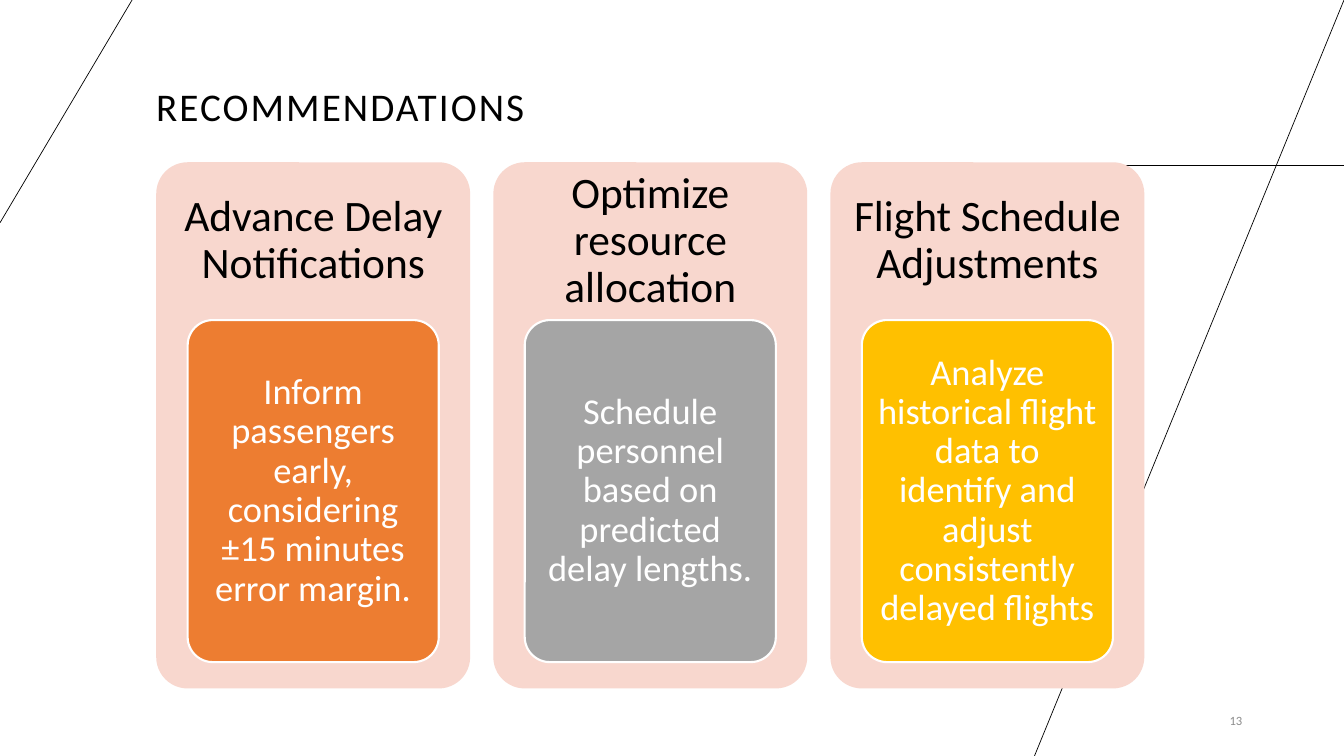
from lxml import etree
from pptx import Presentation
from pptx import util as u
from pptx.dml.color import RGBColor
from pptx.enum import shapes, text
from pptx.oxml.ns import qn

WIDTH, HEIGHT = 13.33, 7.5
FONT = "Calibri"
COLORS = {
    "ink": "000000", "white": "FFFFFF", "number": "8C8C8C", "panel": "F8D7CE",
    "orange": "ED7D31", "gray": "A5A5A5", "gold": "FFC000",
}
CENTER, RIGHT = text.PP_ALIGN.CENTER, text.PP_ALIGN.RIGHT
MIDDLE, BOTTOM = text.MSO_ANCHOR.MIDDLE, text.MSO_ANCHOR.BOTTOM

CARDS = [
    ("Advance Delay Notifications", "orange",
     "Inform passengers early, considering ±15 minutes error margin."),
    ("Optimize resource allocation", "gray",
     "Schedule personnel based on predicted delay lengths."),
    ("Flight Schedule Adjustments", "gold",
     "Analyze historical flight data to identify and adjust "
     "consistently delayed flights"),
]


def rgb(name):
    return RGBColor.from_string(COLORS[name])


def inches(box):
    return [u.Inches(value) for value in box]


def write(shape, words, size, color, anchor=MIDDLE, insets=(0.1, 0.05), **para_format):
    frame = shape.text_frame
    across, down = inches(insets)
    frame_format = {
        "word_wrap": True, "vertical_anchor": anchor,
        "margin_left": across, "margin_right": across,
        "margin_top": down, "margin_bottom": down,
    }
    for name, value in frame_format.items():
        setattr(frame, name, value)
    para = frame.paragraphs[0]
    for name, value in para_format.items():
        setattr(para, name, value)
    span = para.add_run()
    span.text = words
    for name, value in {"size": u.Pt(size), "name": FONT}.items():
        setattr(span.font, name, value)
    span.font.color.rgb = rgb(color)
    return span


def add_rounded(page, box, fill, outline=None):
    shape = page.shapes.add_shape(shapes.MSO_SHAPE.ROUNDED_RECTANGLE, *inches(box))
    shape.shadow.inherit = False
    shape.adjustments[0] = 0.1
    shape.fill.solid()
    shape.fill.fore_color.rgb = rgb(fill)
    if outline:
        shape.line.color.rgb = rgb(outline)
        shape.line.width = u.Pt(1.5)
    else:
        shape.line.fill.background()
    return shape


def add_background_lines(page, width, height):
    for ends in [
        (9.95, 1.64, width, 1.64),
        (width, 0, 10.26, height),
        (0, 2.21, 1.31, 0),
    ]:
        line = page.shapes.add_connector(shapes.MSO_CONNECTOR.STRAIGHT, *inches(ends))
        line.line.color.rgb = rgb("ink")
        line.line.width = u.Pt(0.5)
        etree.SubElement(line._element.spPr, qn("a:effectLst"))


def add_title(page, box):
    title = page.shapes.add_textbox(*inches(box))
    span = write(title, "RECOMMENDATIONS", 28, "ink", BOTTOM, line_spacing=0.9)
    span._r.get_or_add_rPr().set("spc", "150")


def add_page_number(page, box):
    number = page.shapes.add_textbox(*inches(box))
    write(number, "13", 9, "number", alignment=RIGHT, space_after=u.Pt(6))


def add_card(page, box, heading, fill, detail):
    left, top, width, height = box
    centered = {"alignment": CENTER, "line_spacing": 0.9}
    add_rounded(page, box, "panel")

    # Heading fills the top 30% of the panel
    head_height = height * 0.3
    head = page.shapes.add_textbox(*inches((left, top, width, head_height)))
    write(head, heading, 31, "ink", insets=(0.13, 0.13), **centered)

    # Detail block is 80% of the panel's width and 65% of its height
    block = (left + width * 0.1, top + head_height, width * 0.8, height * 0.65)
    body = add_rounded(page, block, fill, "white")
    write(body, detail, 26, "white", insets=(0.07, 0.05), **centered)


def add_cards(page, box):
    left, top, width, height = box
    gap = 0.23
    card_width = (width - gap * (len(CARDS) - 1)) / len(CARDS)
    for column, card in enumerate(CARDS):
        card_left = left + column * (card_width + gap)
        add_card(page, (card_left, top, card_width, height), *card)


def main():
    deck = Presentation()
    deck.slide_width, deck.slide_height = inches((WIDTH, HEIGHT))
    page = deck.slides.add_slide(deck.slide_layouts[6])
    add_background_lines(page, WIDTH, HEIGHT)
    add_title(page, (1.45, 0.29, 8.9, 1.05))
    add_page_number(page, (11.34, 6.95, 1.08, 0.4))
    add_cards(page, (1.55, 1.61, 9.8, 5.22))
    deck.save("out.pptx")


if __name__ == "__main__":
    main()
